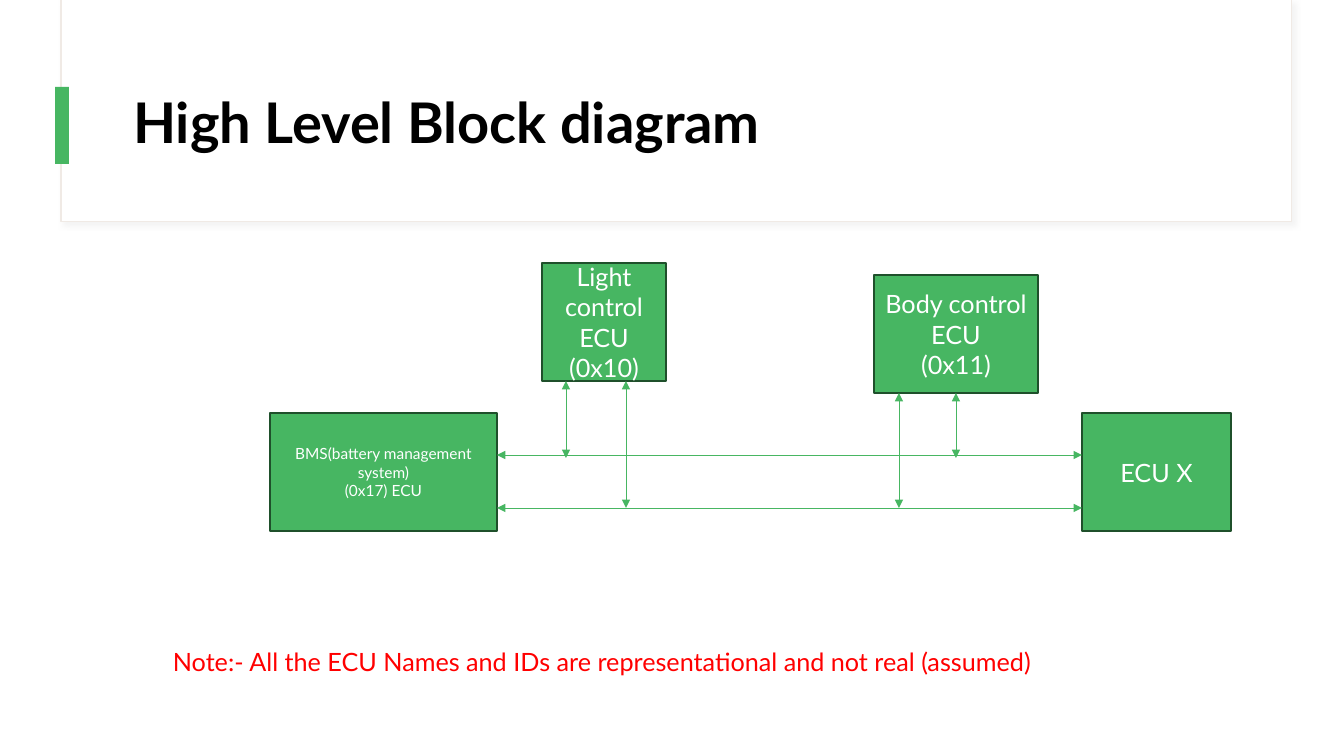
"""Build the high level block diagram slide of the ECU network."""
from lxml import etree
from pptx import Presentation
from pptx.dml.color import RGBColor
from pptx.enum.shapes import MSO_CONNECTOR, MSO_SHAPE
from pptx.enum.text import MSO_ANCHOR, MSO_AUTO_SIZE, PP_ALIGN
from pptx.oxml.ns import qn
from pptx.util import Pt

RECTANGLE = MSO_SHAPE.RECTANGLE
STRAIGHT = MSO_CONNECTOR.STRAIGHT
MIDDLE = MSO_ANCHOR.MIDDLE
CENTER = PP_ALIGN.CENTER
SCALE = 12192000 / 1344
FONT = "Lato"
COLORS = {
    "white": "FFFFFF",
    "black": "000000",
    "green": "47B662",
    "dark green": "1F502B",
    "beige": "F0EAE5",
    "shadow": "D9D9D9",
    "red": "FF0000",
}


def add_box(bounds, fill, outline=None, width=1):
    box = page.shapes.add_shape(RECTANGLE, *[round(n * SCALE) for n in bounds])
    box.shadow.inherit = False
    box.fill.solid()
    box.fill.fore_color.rgb = RGBColor.from_string(COLORS[fill])
    if outline:
        box.line.color.rgb = RGBColor.from_string(COLORS[outline])
        box.line.width = Pt(width)
    else:
        box.line.fill.background()
    return box


def write(frame, lines, size, color, align=None):
    frame.word_wrap = True
    frame.text = "\n".join(lines)
    for paragraph in frame.paragraphs:
        paragraph.alignment = align
        paragraph.font.name = FONT
        paragraph.font.size = Pt(size)
        paragraph.font.color.rgb = RGBColor.from_string(COLORS[color])


deck = Presentation()
deck.slide_width, deck.slide_height = round(1344 * SCALE), round(756 * SCALE)
page = deck.slides.add_slide(deck.slide_layouts[5])

panel = add_box((61, 0, 1231, 222), "white", "beige", 0.75)
effects = panel._element.spPr.find(qn("a:effectLst"))
shadow = etree.SubElement(effects, qn("a:outerShdw"), blurRad=str(Pt(4)), dist=str(Pt(3)),
                          dir="2700000", algn="tl", rotWithShape="0")
shade = etree.SubElement(shadow, qn("a:srgbClr"), val=COLORS["shadow"])
etree.SubElement(shade, qn("a:alpha"), val="30000")
add_box((55, 87, 14, 77), "green")

title = page.shapes.title
title.left, title.top, title.width, title.height = [round(n * SCALE) for n in (123, 60, 1121, 130)]
write(title.text_frame, ["High Level Block diagram"], 40, "black", PP_ALIGN.LEFT)
title.text_frame.vertical_anchor = MIDDLE
title.text_frame.paragraphs[0].font.bold = True
title.text_frame.paragraphs[0].line_spacing = 0.9
page.shapes._spTree.append(title._element)

BOX_HEIGHT = 118
LIGHT_TOP, BODY_TOP, END_TOP = 263, 275, 413
BMS_LEFT, BMS_WIDTH, ECU_X_LEFT = 270, 227, 1082
units = [
    (874, BODY_TOP, 164, 18, ["Body control ECU", "(0x11)"]),
    (BMS_LEFT, END_TOP, BMS_WIDTH, 11, ["BMS(battery management system)", "(0x17) ECU"]),
    (542, LIGHT_TOP, 124, 18, ["Light control", "ECU (0x10)"]),
    (ECU_X_LEFT, END_TOP, 149, 18, ["ECU X"]),
]
for left, top, width, size, lines in units:
    unit = add_box((left, top, width, BOX_HEIGHT), "green", "dark green")
    unit.text_frame.vertical_anchor = MIDDLE
    write(unit.text_frame, lines, size, "white", CENTER)

HIGH_BUS, LOW_BUS = 455, 508
HIGH_TAP_END = HIGH_BUS + 3
buses = [(BMS_LEFT + BMS_WIDTH, y, ECU_X_LEFT, y) for y in (HIGH_BUS, LOW_BUS)]
taps = [
    (x, top + BOX_HEIGHT, x, end)
    for x, top, end in [
        (566, LIGHT_TOP, HIGH_TAP_END),
        (626, LIGHT_TOP, LOW_BUS),
        (899, BODY_TOP, LOW_BUS),
        (956, BODY_TOP, HIGH_TAP_END),
    ]
]
for ends in buses + taps:
    arrow = page.shapes.add_connector(STRAIGHT, *[round(n * SCALE) for n in ends])
    arrow.line.color.rgb = RGBColor.from_string(COLORS["green"])
    arrow.line.width = Pt(0.5)
    for tip in ("a:headEnd", "a:tailEnd"):
        etree.SubElement(arrow.line._get_or_add_ln(), qn(tip), type="triangle")
    etree.SubElement(arrow._element.spPr, qn("a:effectLst"))

note = page.shapes.add_textbox(*[round(n * SCALE) for n in (163, 641, 943, 40)])
write(note.text_frame, ["Note:- All the ECU Names and IDs are representational and not real (assumed)"], 18, "red")
note.text_frame.auto_size = MSO_AUTO_SIZE.SHAPE_TO_FIT_TEXT

deck.save("out.pptx")
